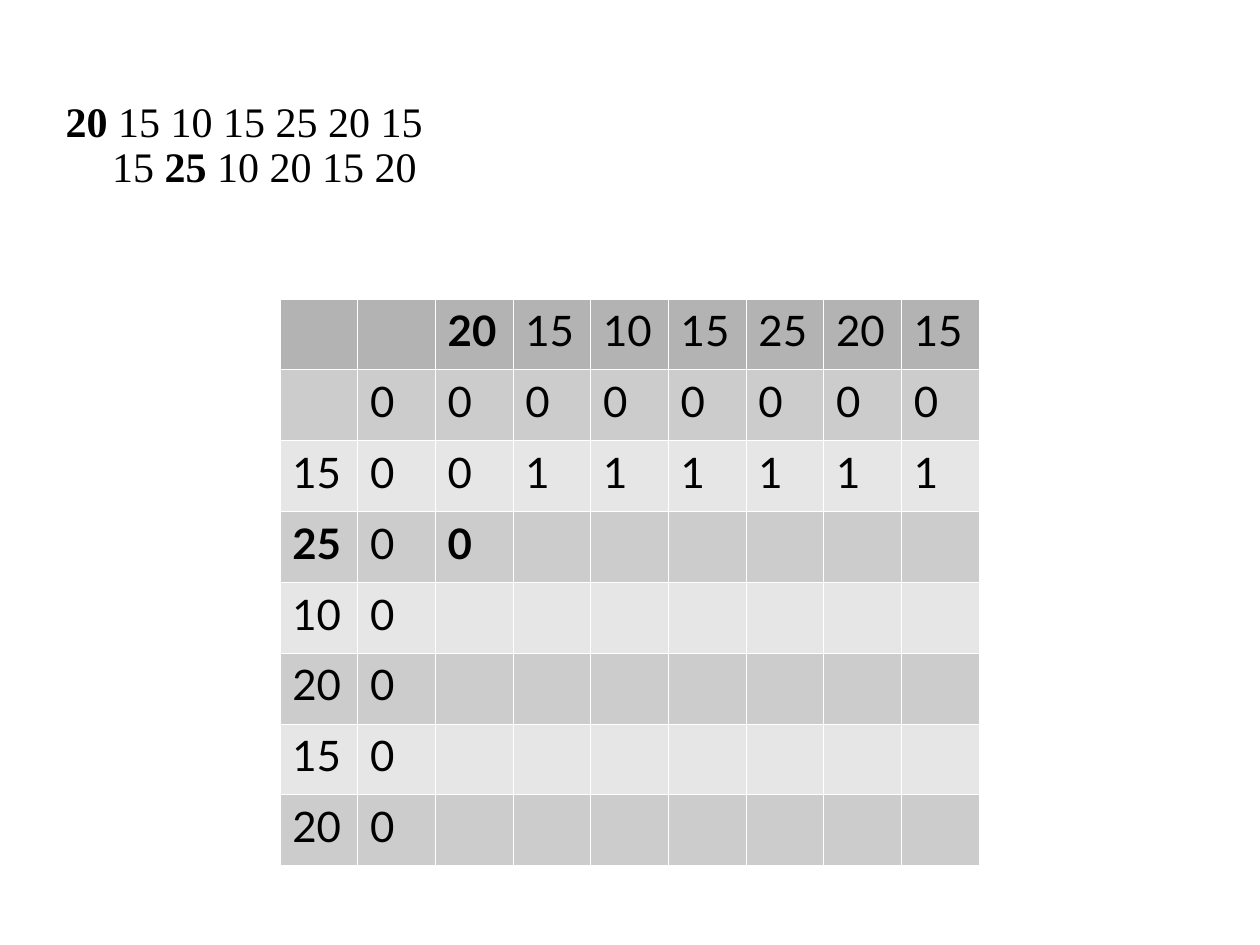
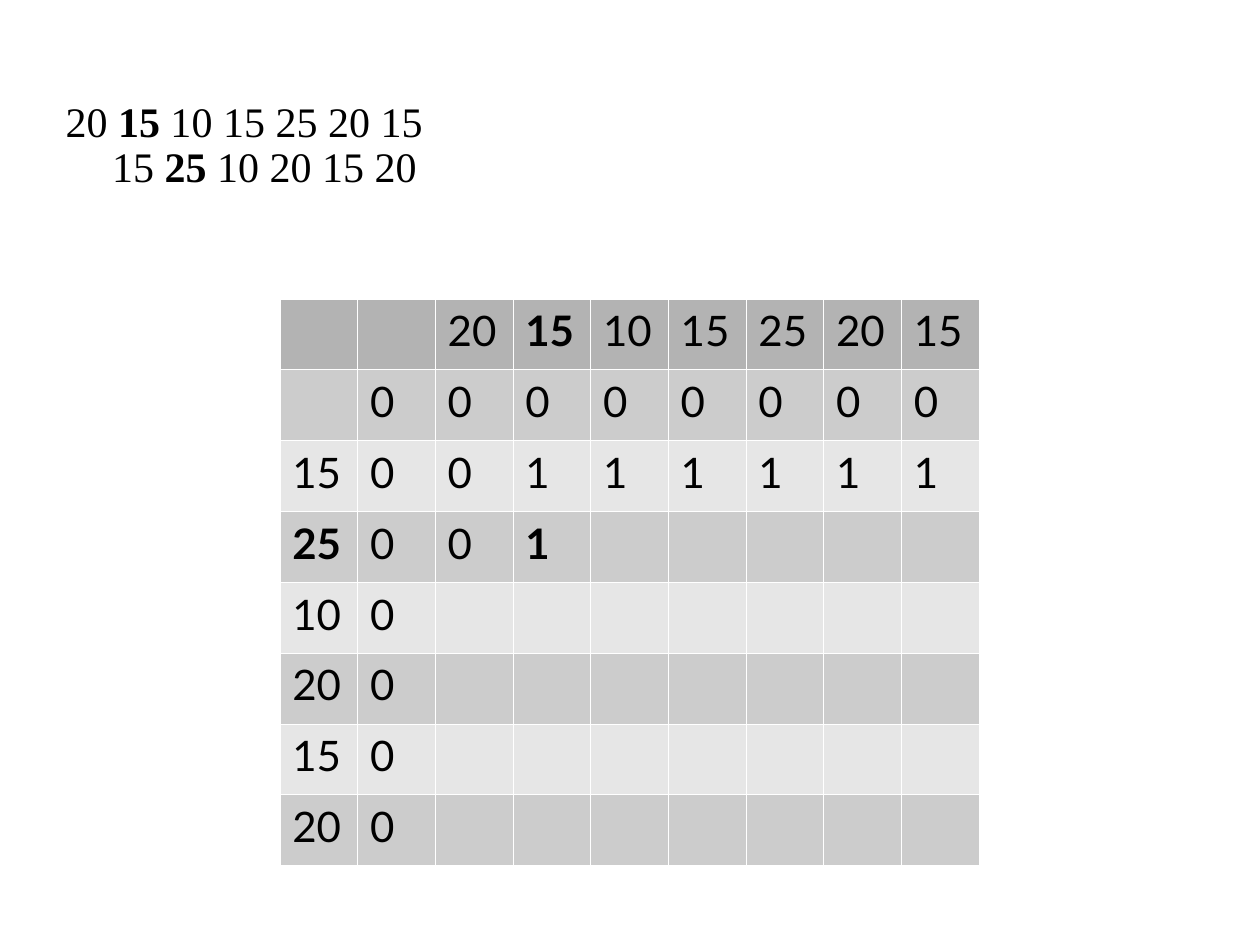
import pptx
import pptx.util
import pptx.dml.color
import pptx.enum.text
import lxml.etree
from pptx.oxml.ns import qn

Inches = pptx.util.Inches
Pt = pptx.util.Pt

COLORS = {"text": "000000", "head": "B3B3B3", "dark": "CCCCCC",
          "light": "E6E6E6", "rule": "FFFFFF"}
TOP = [20, 15, 10, 15, 25, 20, 15]
SIDE = [15, 25, 10, 20, 15, 20]
LIST_BOX = (0.42, 0.75, 8.83, 6.15)
GRID_BOX = (2.22, 2.37, 5.55, 4.5)


def rgb(name):
    return pptx.dml.color.RGBColor.from_string(COLORS[name])


def add_run(para, text, face, bold=False):
    run = para.add_run()
    run.text = text
    run.font.name = face
    run.font.size = Pt(24)
    run.font.bold = bold
    run.font.color.rgb = rgb("text")


def add_line(para, nums, mark):
    """One sequence, with the number at index mark in bold."""
    words = [str(num) for num in nums]
    parts = ["".join(word + " " for word in words[:mark]), words[mark],
             "".join(" " + word for word in words[mark + 1:])]
    for index, part in enumerate(parts):
        if part:
            add_run(para, part, "Times New Roman", index == 1)


def add_list(slide, box, row, col):
    """The two sequences, the second one on an indented line."""
    body = slide.placeholders[1]
    body.left, body.top, body.width, body.height = map(Inches, box)
    frame = body.text_frame
    frame.word_wrap = True
    frame.auto_size = pptx.enum.text.MSO_AUTO_SIZE.NONE
    para = frame.paragraphs[0]
    props = para._p.get_or_add_pPr()
    props.set("marL", str(Inches(0.37)))
    props.set("indent", str(-Inches(0.37)))
    lxml.etree.SubElement(props, qn("a:buNone"))
    para.line_spacing = 0.9
    para.space_before = Pt(0)
    add_line(para, TOP, col)
    para.add_line_break()
    add_line(para, SIDE, row)


def fill_lengths(row, col):
    """Common subsequence lengths, known up to the cell at row, col."""
    grid = [[0] * (len(TOP) + 1)]
    for i, num in enumerate(SIDE):
        line = [0]
        for j, other in enumerate(TOP):
            if (i, j) > (row, col):
                line.append("")
            elif num == other:
                line.append(grid[i][j] + 1)
            else:
                line.append(max(grid[i][j + 1], line[j]))
        grid.append(line)
    return grid


def add_edges(cell):
    props = cell._tc.get_or_add_tcPr()
    for place, side in enumerate(("L", "R", "T", "B")):
        edge = lxml.etree.Element(qn("a:ln" + side), w=str(Pt(0.06)))
        fill = lxml.etree.SubElement(edge, qn("a:solidFill"))
        lxml.etree.SubElement(fill, qn("a:srgbClr"), val=COLORS["rule"])
        props.insert(place, edge)


def add_grid(slide, box, row, col):
    """The table of lengths, with the current step in bold."""
    rows = [["", ""] + TOP]
    for label, line in zip([""] + SIDE, fill_lengths(row, col)):
        rows.append([label] + line)
    bold = {(0, col + 2), (row + 2, 0), (row + 2, col + 2)}
    table = slide.shapes.add_table(len(rows), len(rows[0]),
                                   *map(Inches, box)).table
    for i, line in enumerate(rows):
        shade = "head" if i == 0 else "dark" if i % 2 else "light"
        for j, value in enumerate(line):
            cell = table.cell(i, j)
            cell.fill.solid()
            cell.fill.fore_color.rgb = rgb(shade)
            add_edges(cell)
            if value != "":
                para = cell.text_frame.paragraphs[0]
                para.line_spacing = 1.01
                add_run(para, str(value), "Lato", (i, j) in bold)


def add_step(deck, row, col):
    slide = deck.slides.add_slide(deck.slide_layouts[1])
    title = slide.shapes.title._element
    title.getparent().remove(title)
    add_list(slide, LIST_BOX, row, col)
    add_grid(slide, GRID_BOX, row, col)


def main():
    deck = pptx.Presentation()
    deck.slide_width, deck.slide_height = Inches(10), Inches(7.5)
    # Each slide moves one column along the row of 25
    for col in (0, 1):
        add_step(deck, 1, col)
    deck.save("out.pptx")


if __name__ == "__main__":
    main()
